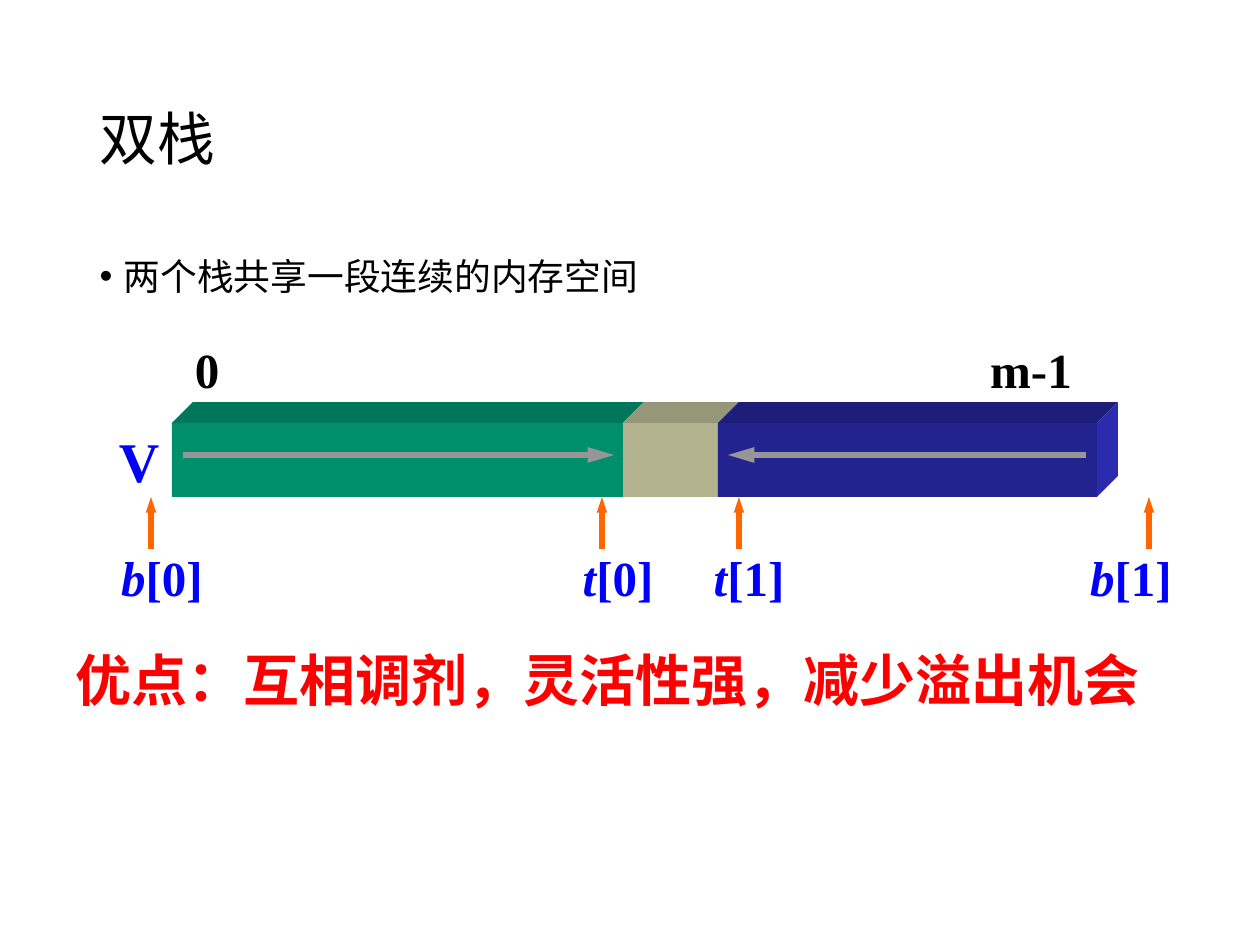
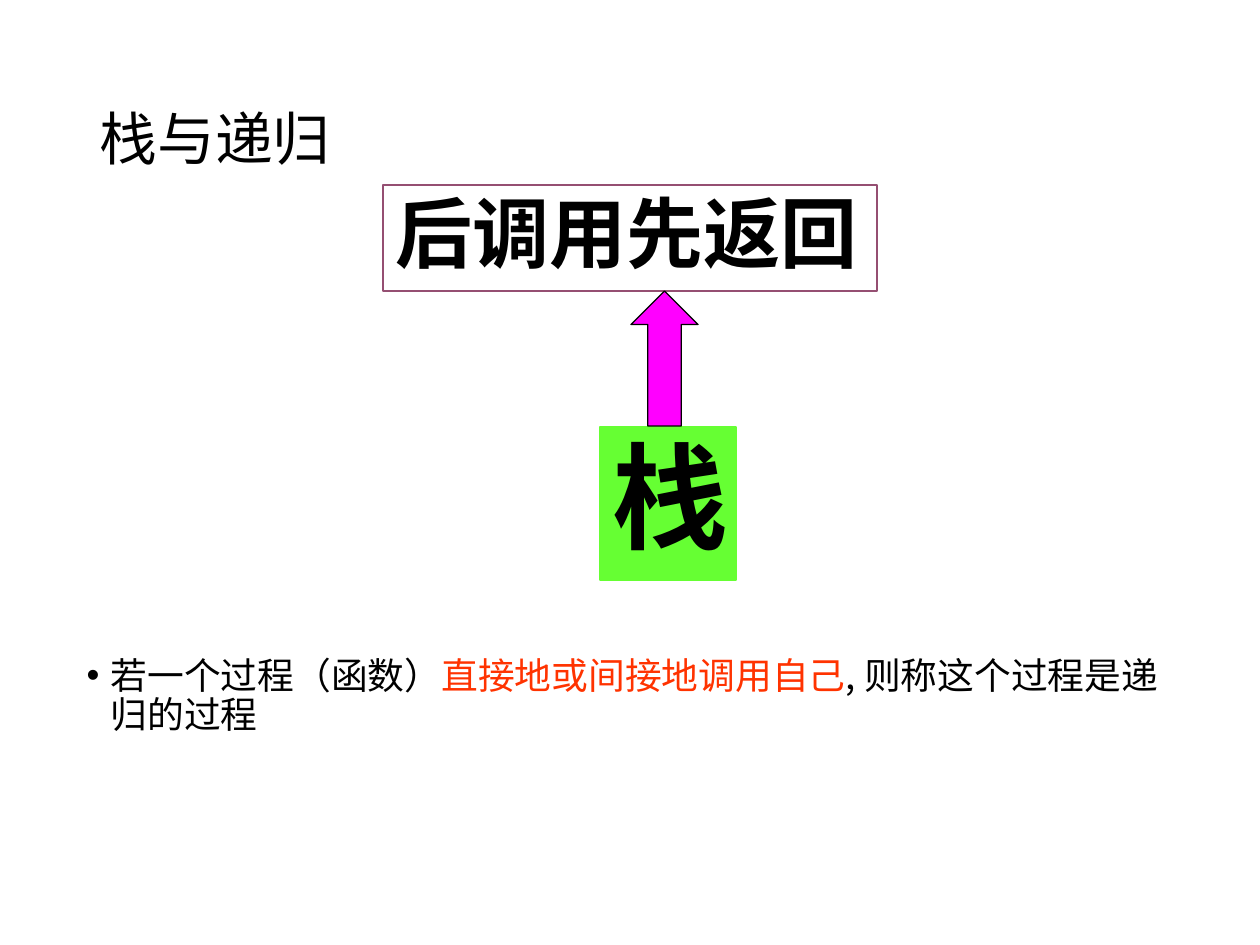
from lxml import etree
from pptx import Presentation, util as u
from pptx.dml import color
from pptx.enum import shapes, text
from pptx.oxml import ns

PX = 914400 / 126
CJK, SERIF = "Noto Sans CJK SC", "Times New Roman"
BLACK, BLUE, RED, ORANGE, GRAY = "000000", "0000FF", "FF0000", "FF6600", "969696"
MIDDLE = text.MSO_ANCHOR.MIDDLE
LEFT, CENTER = text.PP_ALIGN.LEFT, text.PP_ALIGN.CENTER


def px(n):
    """Turn pixels into EMU."""
    return u.Emu(round(n * PX))


def rgb(value):
    """Turn a hex string into a colour."""
    return color.RGBColor.from_string(value)


def sub(parent, tag, **attrs):
    """Add a DrawingML child element."""
    return etree.SubElement(parent, ns.qn("a:" + tag), attrs)


def add_run(p, words, size, hue=BLACK, font=CJK, bold=False, italic=False):
    """Add one formatted run to a paragraph."""
    r = p.add_run()
    r.text = words
    f = r.font
    f.size, f.name, f.bold, f.italic = u.Pt(size), font, bold, italic
    f.color.rgb = rgb(hue)
    sub(r._r.get_or_add_rPr(), "ea", typeface=CJK)


def place(sp, x, y, w, h):
    """Move and size a shape."""
    sp.left, sp.top, sp.width, sp.height = px(x), px(y), px(w), px(h)


def paint(sp, fill=None, line=None):
    """Set fill and outline, and drop the shadow."""
    sp.shadow.inherit = False
    if fill:
        sp.fill.solid()
        sp.fill.fore_color.rgb = rgb(fill)
    else:
        sp.fill.background()
    if line:
        sp.line.color.rgb = rgb(line)
        sp.line.width = u.Pt(0.75)
    else:
        sp.line.fill.background()


def add_slide(prs, title, body_box, parts):
    """Add a slide with its title and one bullet of (words, colour) parts."""
    s = prs.slides.add_slide(prs.slide_layouts[1])
    sp = s.shapes.title
    place(sp, 87, 50, 1086, 183)
    sp.text_frame.vertical_anchor = MIDDLE
    p = sp.text_frame.paragraphs[0]
    p.alignment, p.line_spacing = LEFT, 0.9
    add_run(p, title, 33)

    body = s.placeholders[1]
    place(body, *body_box)
    tf = body.text_frame
    tf.auto_size = text.MSO_AUTO_SIZE.TEXT_TO_FIT_SHAPE
    p = tf.paragraphs[0]
    pPr = p._p.get_or_add_pPr()
    pPr.set("marL", str(px(24)))
    pPr.set("indent", str(px(-24)))
    sub(pPr, "buFont", typeface="Arial")
    sub(pPr, "buChar", char="•")
    p.line_spacing, p.space_before = 0.9, u.Pt(0)
    for words, hue in parts:
        add_run(p, words, 21, hue)
    return s


def fit_frame(sp, align, wrap, spacing):
    """Centre a frame's text vertically and return its paragraph."""
    tf = sp.text_frame
    tf.word_wrap, tf.vertical_anchor = wrap, MIDDLE
    tf.margin_top = tf.margin_bottom = 0
    p = tf.paragraphs[0]
    p.alignment, p.line_spacing = align, spacing
    return p


def add_label(s, cx, y, digits, letter="", size=28, hue=BLUE):
    """Add a centred serif label, with an optional italic letter first."""
    w, h = 120, 72
    sp = s.shapes.add_textbox(px(cx - w / 2), px(y), px(w), px(h))
    p = fit_frame(sp, CENTER, False, 1.0)
    if letter:
        add_run(p, letter, size, hue, SERIF, True, True)
    add_run(p, digits, size, hue, SERIF, True)


def add_arrow(s, x1, y1, x2, y2, hue, head_w, head_len):
    """Add a straight arrow that points at its second end."""
    c = s.shapes.add_connector(shapes.MSO_CONNECTOR.STRAIGHT, px(x1), px(y1), px(x2), px(y2))
    c.line.color.rgb = rgb(hue)
    c.line.width = u.Pt(3)
    sub(c.line._get_or_add_ln(), "tailEnd", type="triangle", w=head_w, len=head_len)
    sub(c._element.spPr, "effectLst")


def add_face(s, points, fill):
    """Add one filled polygon."""
    start, *rest = [(px(x), px(y)) for x, y in points]
    b = s.shapes.build_freeform(*start)
    b.add_line_segments(rest, close=True)
    paint(b.convert_to_shape(), fill)


def add_block(s, x1, x2, front, top, side=None):
    """Add one segment of the solid memory bar."""
    y1, y2, d = 423, 497, 21
    sp = s.shapes.add_shape(shapes.MSO_SHAPE.RECTANGLE, px(x1), px(y1), px(x2 - x1), px(y2 - y1))
    paint(sp, front)
    add_face(s, [(x1, y1), (x1 + d, y1 - d), (x2 + d, y1 - d), (x2, y1)], top)
    if side:
        add_face(s, [(x2, y1), (x2 + d, y1 - d), (x2 + d, y2 - d), (x2, y2)], side)


def add_box(s, x, y, w, h, words, size, fill=None, line=None, hue=BLACK):
    """Add a rectangle with bold text."""
    sp = s.shapes.add_shape(shapes.MSO_SHAPE.RECTANGLE, px(x), px(y), px(w), px(h))
    paint(sp, fill, line)
    add_run(fit_frame(sp, LEFT, True, 0.9), words, size, hue, bold=True)


def build_double_stack(prs):
    """Build the slide on two stacks sharing one array."""
    s = add_slide(prs, "双栈", (87, 252, 1086, 600), [("两个栈共享一段连续的内存空间", BLACK)])
    add_block(s, 172, 623, "008F6B", "00775A")
    add_block(s, 623, 718, "B2B28F", "969678")
    add_block(s, 718, 1097, "23238F", "1E1E78", "2B2BB0")
    add_arrow(s, 183, 455, 614, 455, GRAY, "med", "lg")
    add_arrow(s, 1086, 455, 728, 455, GRAY, "med", "lg")

    pointers = [("b", "[0]", 151, 162), ("t", "[0]", 602, 618),
                ("t", "[1]", 739, 749), ("b", "[1]", 1149, 1131)]
    for letter, index, tip_x, label_x in pointers:
        add_arrow(s, tip_x, 549, tip_x, 497, ORANGE, "sm", "med")
        add_label(s, label_x, 541, index, letter)
    for words, x in [("0", 207), ("m-1", 1031)]:
        add_label(s, x, 333, words, hue=BLACK)
    add_label(s, 139, 424, "V", size=32)
    add_box(s, 63, 644, 1124, 79, "优点：互相调剂，灵活性强，减少溢出机会", 32, hue=RED)


def build_recursion(prs):
    """Build the slide on stacks and recursion."""
    s = add_slide(prs, "栈与递归", (74, 651, 1131, 168), [
        ("若一个过程（函数）", BLACK),
        ("直接地或间接地调用自己", "FF3300"),
        (", 则称这个过程是递归的过程", BLACK)])
    add_box(s, 383, 185, 494, 106, "后调用先返回", 44, line="954F72")
    add_box(s, 600, 427, 136, 153, "栈", 66, "66FF33", "66FF33")
    sp = s.shapes.add_shape(shapes.MSO_SHAPE.UP_ARROW, px(631), px(291), px(67), px(135))
    sp.adjustments[0] = sp.adjustments[1] = 0.5
    paint(sp, "FF00FF", BLACK)


def main():
    """Build and save the presentation."""
    prs = Presentation()
    prs.slide_width, prs.slide_height = px(1260), px(945)
    build_double_stack(prs)
    build_recursion(prs)
    prs.save("out.pptx")


if __name__ == "__main__":
    main()
